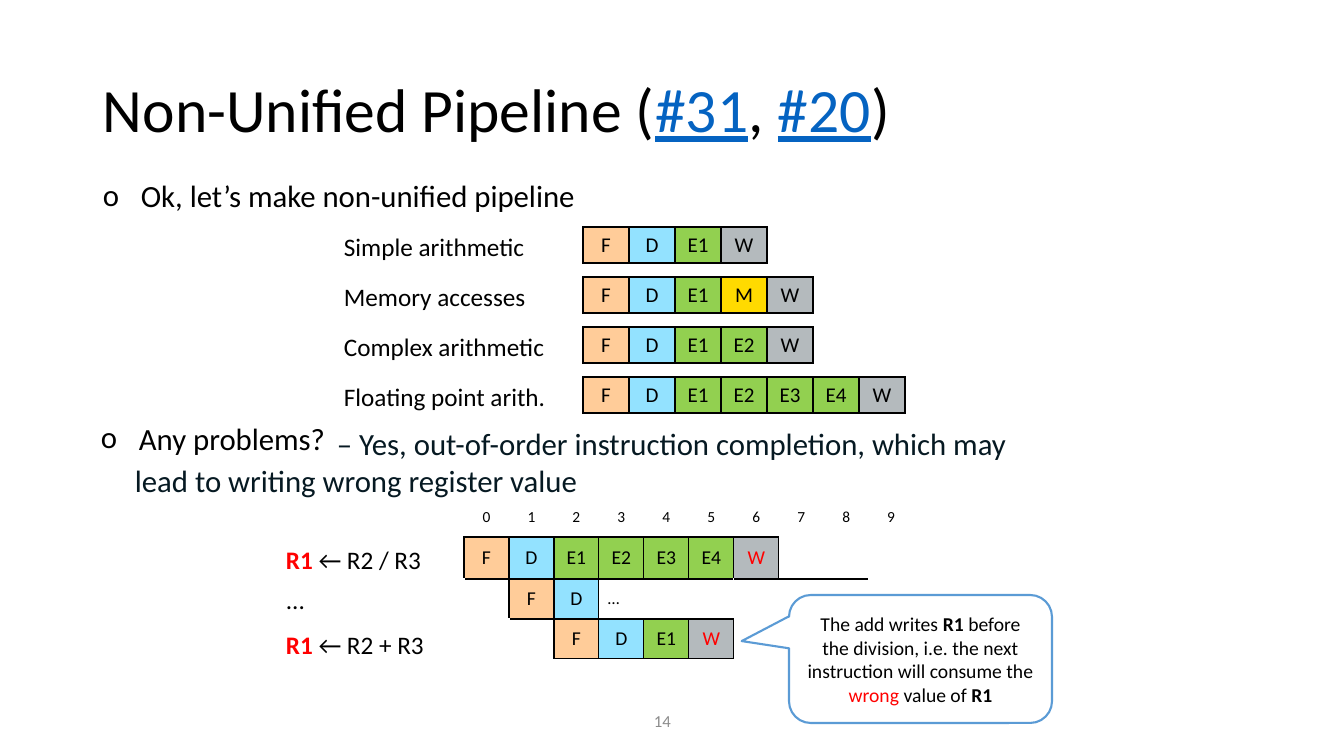
from lxml.etree import SubElement
from pptx import Presentation
from pptx.dml.color import RGBColor
from pptx.enum.shapes import MSO_SHAPE
from pptx.enum.text import MSO_ANCHOR, PP_ALIGN
from pptx.oxml.ns import qn
from pptx.util import Emu, Pt

SCALE = 914400 / 100.8
BLACK, WHITE, RED, LINK = "000000", "FFFFFF", "FF0000", "0563C1"
FILLS = {"F": "FFCC99", "D": "93E2FF", "E": "92D050", "M": "FFDA00", "W": "B4BABD"}


def px(n):
    return Emu(round(n * SCALE))


def rgb(code):
    return RGBColor.from_string(code)


class Deck:
    def __init__(self, wide, high):
        self.prs = Presentation()
        self.prs.slide_width, self.prs.slide_height = px(wide), px(high)
        self.slide = self.prs.slides.add_slide(self.prs.slide_layouts[6])
        self.shapes = self.slide.shapes
        self.face = "Calibri"

    def style(self, font, size, color):
        font.name, font.size = self.face, Pt(size)
        font.color.rgb = rgb(color)

    def put(self, para, runs, size, color=BLACK):
        """Each run is a text, or a text with its colour, bold and underline."""
        self.style(para.font, size, color)
        for item in [runs] if isinstance(runs, str) else runs:
            text, tint, bold, line = item if isinstance(item, tuple) else (item, None, None, None)
            run = para.add_run()
            run.text = text
            run.font.bold, run.font.underline = bold, line
            if tint:
                run.font.color.rgb = rgb(tint)

    def text(self, box, runs, size, color=BLACK, anchor=MSO_ANCHOR.TOP,
             bullet=False, indent=0, lines=None, pad=True):
        frame = self.shapes.add_textbox(*map(px, box)).text_frame
        frame.word_wrap, frame.vertical_anchor = True, anchor
        if not pad:
            frame.margin_left = frame.margin_right = frame.margin_top = frame.margin_bottom = 0
        para = frame.paragraphs[0]
        para.line_spacing = lines
        props = para._p.get_or_add_pPr()
        if bullet:
            props.set("marL", str(px(38)))
            props.set("indent", str(px(-38)))
            SubElement(props, qn("a:buFont"), typeface=self.face)
            SubElement(props, qn("a:buChar"), char="o")
        elif indent:
            props.set("indent", str(px(indent)))
        self.put(para, runs, size, color)
        return frame

    def edge(self, cell, side, color):
        line = SubElement(cell._tc.get_or_add_tcPr(), qn("a:ln" + side), w=str(Pt(1)))
        fill = SubElement(line, qn("a:solidFill"))
        SubElement(fill, qn("a:srgbClr"), val=color)

    def table(self, left, top, cols, rows, grid, size, ruled=(), marks=(), spans=()):
        """Stages get a fill and black edges; ruled cells get a black top;
        stages in marks are red; spans are merged (row, first, last)."""
        box = (left, top, sum(cols), sum(rows))
        table = self.shapes.add_table(len(rows), len(cols), *map(px, box)).table
        table.first_row = table.horz_banding = False
        for col, wide in zip(table.columns, cols):
            col.width = px(wide)
        for row, high in zip(table.rows, rows):
            row.height = px(high)

        def stage(r, c):
            inside = 0 <= r < len(rows) and 0 <= c < len(cols)
            return inside and grid[r][c][:1] in FILLS

        for r in range(len(rows)):
            for c in range(len(cols)):
                cell, word = table.cell(r, c), grid[r][c]
                near = {"L": (r, c - 1), "R": (r, c + 1), "T": (r - 1, c), "B": (r + 1, c)}
                for side, other in near.items():
                    rule = (r, c) if side == "T" else other if side == "B" else None
                    dark = stage(r, c) or stage(*other) or rule in ruled
                    self.edge(cell, side, BLACK if dark else WHITE)
                cell.fill.solid()
                cell.fill.fore_color.rgb = rgb(FILLS[word[0]] if stage(r, c) else WHITE)
                cell.margin_left = cell.margin_right = px(9)
                cell.margin_top = cell.margin_bottom = 0
                cell.vertical_anchor = MSO_ANCHOR.MIDDLE
                if word:
                    para = cell.text_frame.paragraphs[0]
                    para.alignment = PP_ALIGN.LEFT if word == "…" else PP_ALIGN.CENTER
                    small = 11 if word.isdigit() else 12 if word == "…" else size
                    self.put(para, word, small, RED if (r, c) in marks else BLACK)
        for r, first, last in spans:
            table.cell(r, first).merge(table.cell(r, last))

    def callout(self, box, tip, runs, size):
        shape = self.shapes.add_shape(MSO_SHAPE.ROUNDED_RECTANGULAR_CALLOUT, *map(px, box))
        shape.shadow.inherit = False
        for i, value in enumerate(tip):
            shape.adjustments[i] = value
        shape.fill.solid()
        shape.fill.fore_color.rgb = rgb(WHITE)
        shape.line.color.rgb = rgb("5B9BD5")
        shape.line.width = Pt(1.5)
        frame = shape.text_frame
        frame.word_wrap, frame.vertical_anchor = True, MSO_ANCHOR.MIDDLE
        frame.paragraphs[0].alignment = PP_ALIGN.CENTER
        self.put(frame.paragraphs[0], runs, size)


def main():
    deck = Deck(1344, 756)

    # Title, first point and page number
    title = ["Non-Unified Pipeline (", ("#31", LINK, None, True), ", ",
             ("#20", LINK, None, True), ")"]
    deck.text((93, 40, 1159, 146), title, 44, anchor=MSO_ANCHOR.MIDDLE, lines=0.9)
    deck.text((93, 176, 1159, 48), "Ok, let’s make non-unified pipeline", 22,
              bullet=True, lines=0.9)
    deck.text((644, 701, 80, 40), "14", 12, "8C8C8C", MSO_ANCHOR.MIDDLE)

    # One pipeline per kind of instruction, each with a blank last cell
    kinds = [("Simple arithmetic", "F D E1 W", 92),
             ("Memory accesses", "F D E1 M W", 92),
             ("Complex arithmetic", "F D E1 E2 W", 20),
             ("Floating point arith.", "F D E1 E2 E3 E4 W", 92)]
    for i, (name, steps, blank) in enumerate(kinds):
        top = 227 + 50 * i
        words = steps.split()
        deck.text((334, top - 1, 236, 40), name, 18)
        deck.table(583, top, [46] * len(words) + [blank], [36], [words + [""]], 15)

    # Question and answer
    deck.text((101, 420, 254, 40), "Any problems?", 22, bullet=True, pad=False)
    deck.text((125, 420, 928, 85), "– Yes, out-of-order instruction completion, which may "
              "lead to writing wrong register value", 22, "061922", indent=202)

    # Instructions of the example
    target = ("R1", RED, True, None)
    frame = deck.text((276, 539, 170, 130), [target, " ← R2 / R3"], 18)
    for runs, gap in (("...", 7), ([target, " ← R2 + R3"], 11)):
        para = frame.add_paragraph()
        para.space_before = Pt(gap)
        deck.put(para, runs, 18)

    # Timing of the example
    count = 12
    starts = [(0, "0 1 2 3 4 5 6 7 8 9"), (0, "F D E1 E2 E3 E4 W"),
              (1, "F D …"), (2, "F D E1 W")]
    grid = []
    for start, steps in starts:
        row = [""] * start + steps.split()
        grid.append(row + [""] * (count - len(row)))
    deck.table(464, 497, [45] * count, [40, 42, 40, 40], grid, 14,
               ruled=[(2, c) for c in range(9)], marks=[(1, 6), (3, 5)],
               spans=[(2, 3, 5), (2, 6, 8)])

    # Remark on the early result
    bold = ("R1", None, True, None)
    deck.callout((789, 595, 263, 128), (-0.68, -0.14, 0.17),
                 ["The add writes ", bold,
                  " before the division, i.e. the next instruction will consume the ",
                  ("wrong", RED, None, None), " value of ", bold], 14)

    deck.prs.save("out.pptx")


if __name__ == "__main__":
    main()
